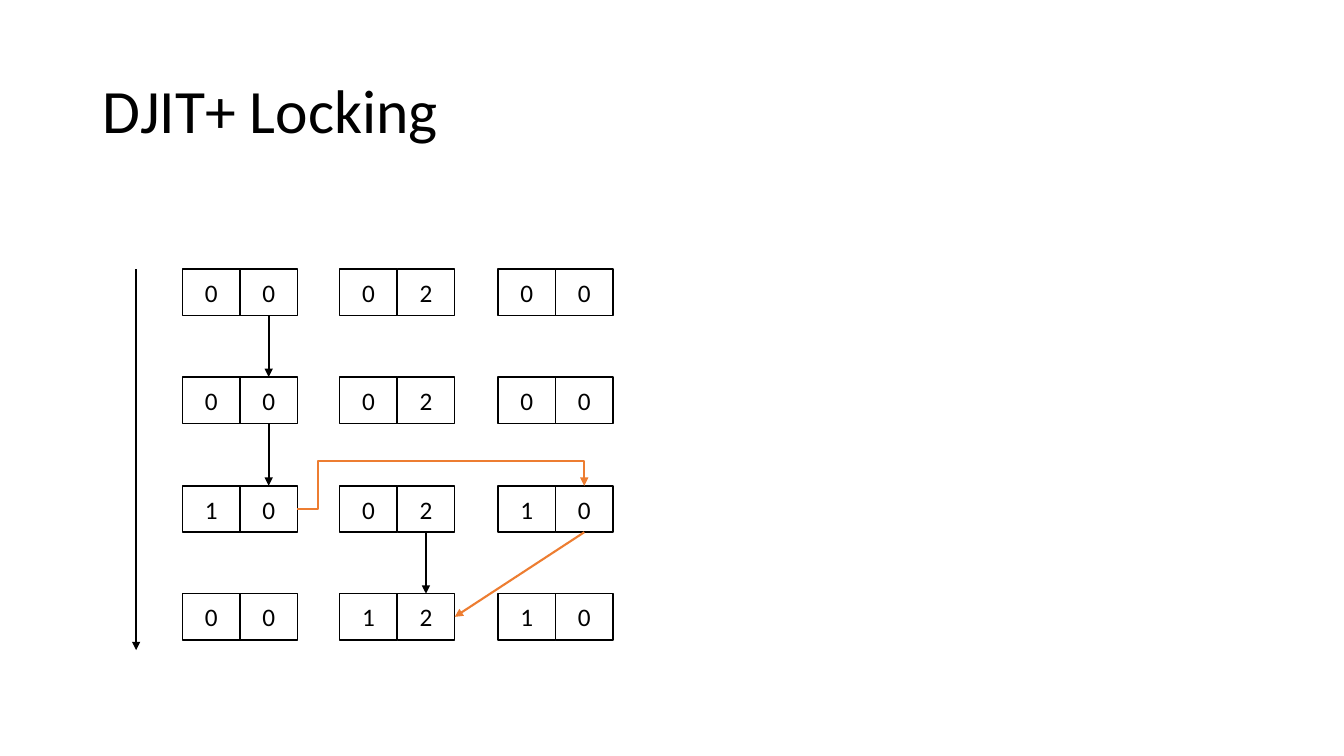
from lxml import etree
from pptx import Presentation
from pptx.dml.color import RGBColor
from pptx.enum.shapes import MSO_CONNECTOR, MSO_SHAPE
from pptx.enum.text import MSO_ANCHOR, PP_ALIGN
from pptx.oxml.ns import qn
from pptx.util import Pt

PX = 9144
FONT = "Calibri"
COLORS = {"ink": "000000", "paper": "FFFFFF", "sync": "ED7D31"}
STRAIGHT, ELBOW = MSO_CONNECTOR.STRAIGHT, MSO_CONNECTOR.ELBOW
RECTANGLE = MSO_SHAPE.RECTANGLE
MIDDLE = MSO_ANCHOR.MIDDLE
LEFT, CENTER = PP_ALIGN.LEFT, PP_ALIGN.CENTER
TOP_SITE, BOTTOM_SITE, RIGHT_SITE = 0, 2, 3
CELL_WIDTH, CELL_HEIGHT = 57, 46
CLOCK_STATES = [
    ["00", "02", "00"],
    ["00", "02", "00"],
    ["10", "02", "10"],
    ["00", "12", "10"],
]


def emu(*lengths):
    """Turn px lengths into EMU."""
    return [length * PX for length in lengths]


def color(name):
    """Look up a named colour."""
    return RGBColor.from_string(COLORS[name])


def style_text(paragraph, size, align):
    """Set the font and alignment of a paragraph."""
    paragraph.alignment = align
    paragraph.font.name = FONT
    paragraph.font.size = Pt(size)
    paragraph.font.color.rgb = color("ink")


def add_title(slide, box, wording):
    """Fill the title placeholder and move it to the box."""
    title = slide.shapes.title
    title.left, title.top, title.width, title.height = emu(*box)
    title.text_frame.text = wording
    title.text_frame.vertical_anchor = MIDDLE
    heading = title.text_frame.paragraphs[0]
    heading.line_spacing = 0.9
    style_text(heading, 44, LEFT)


def add_arrow(slide, start, end, ink="ink", kind=STRAIGHT):
    """Draw an arrow between two px points."""
    arrow = slide.shapes.add_connector(kind, *emu(*start, *end))
    arrow.line.color.rgb = color(ink)
    arrow.line.width = Pt(1.5)
    properties = arrow._element.spPr
    etree.SubElement(properties.find(qn("a:ln")), qn("a:tailEnd"), type="triangle")
    etree.SubElement(properties, qn("a:effectLst"))
    return arrow


def link(slide, source, source_site, target, target_site, ink="ink", kind=STRAIGHT):
    """Draw an arrow glued to two clock cells."""
    arrow = add_arrow(slide, (0, 0), (0, 0), ink, kind)
    arrow.begin_connect(source, source_site)
    arrow.end_connect(target, target_site)
    return arrow


def route_over(arrow, *adjustments):
    """Give an elbow arrow a fourth segment with the adjustments."""
    geometry = arrow._element.spPr.find(qn("a:prstGeom"))
    geometry.set("prst", "bentConnector4")
    guides = geometry.find(qn("a:avLst"))
    for number, value in enumerate(adjustments, 1):
        etree.SubElement(guides, qn("a:gd"), name=f"adj{number}", fmla=f"val {value}")


def add_clock(slide, left, top, entries):
    """Draw one vector clock as a group and return its cells."""
    clock = slide.shapes.add_group_shape()
    cells = []
    for index, entry in enumerate(entries):
        box = emu(left + index * CELL_WIDTH, top, CELL_WIDTH, CELL_HEIGHT)
        cell = clock.shapes.add_shape(RECTANGLE, *box)
        cell.shadow.inherit = False
        cell.fill.solid()
        cell.fill.fore_color.rgb = color("paper")
        cell.line.color.rgb = color("ink")
        cell.line.width = Pt(1)
        cell.text_frame.text = entry
        cell.text_frame.vertical_anchor = MIDDLE
        style_text(cell.text_frame.paragraphs[0], 18, CENTER)
        cells.append(cell)
    return cells


def add_clock_grid(slide, box):
    """Spread the clock states evenly over the box and link them."""
    left, top, width, height = box
    column_step = (width - 2 * CELL_WIDTH) / (len(CLOCK_STATES[0]) - 1)
    row_step = (height - CELL_HEIGHT) / (len(CLOCK_STATES) - 1)
    grid = [
        [
            add_clock(slide, left + round(column * column_step), top + round(row * row_step), entries)
            for column, entries in enumerate(state)
        ]
        for row, state in enumerate(CLOCK_STATES)
    ]
    for row, column in [(0, 0), (1, 0), (2, 1)]:
        link(slide, grid[row][column][1], BOTTOM_SITE, grid[row + 1][column][1], TOP_SITE)
    lock_cell = grid[2][2][1]
    release = link(slide, grid[2][0][1], RIGHT_SITE, lock_cell, TOP_SITE, "sync", ELBOW)
    route_over(release, 7200, 207700)
    link(slide, lock_cell, BOTTOM_SITE, grid[3][1][1], RIGHT_SITE, "sync")


def main():
    """Build the locking slide."""
    deck = Presentation()
    deck.slide_width, deck.slide_height = emu(1333, 750)
    slide = deck.slides.add_slide(deck.slide_layouts[5])
    add_title(slide, (92, 40, 1150, 145), "DJIT+ Locking")
    add_arrow(slide, (135, 267), (135, 645))
    add_clock_grid(slide, (181, 267, 427, 368))
    deck.save("out.pptx")


if __name__ == "__main__":
    main()
